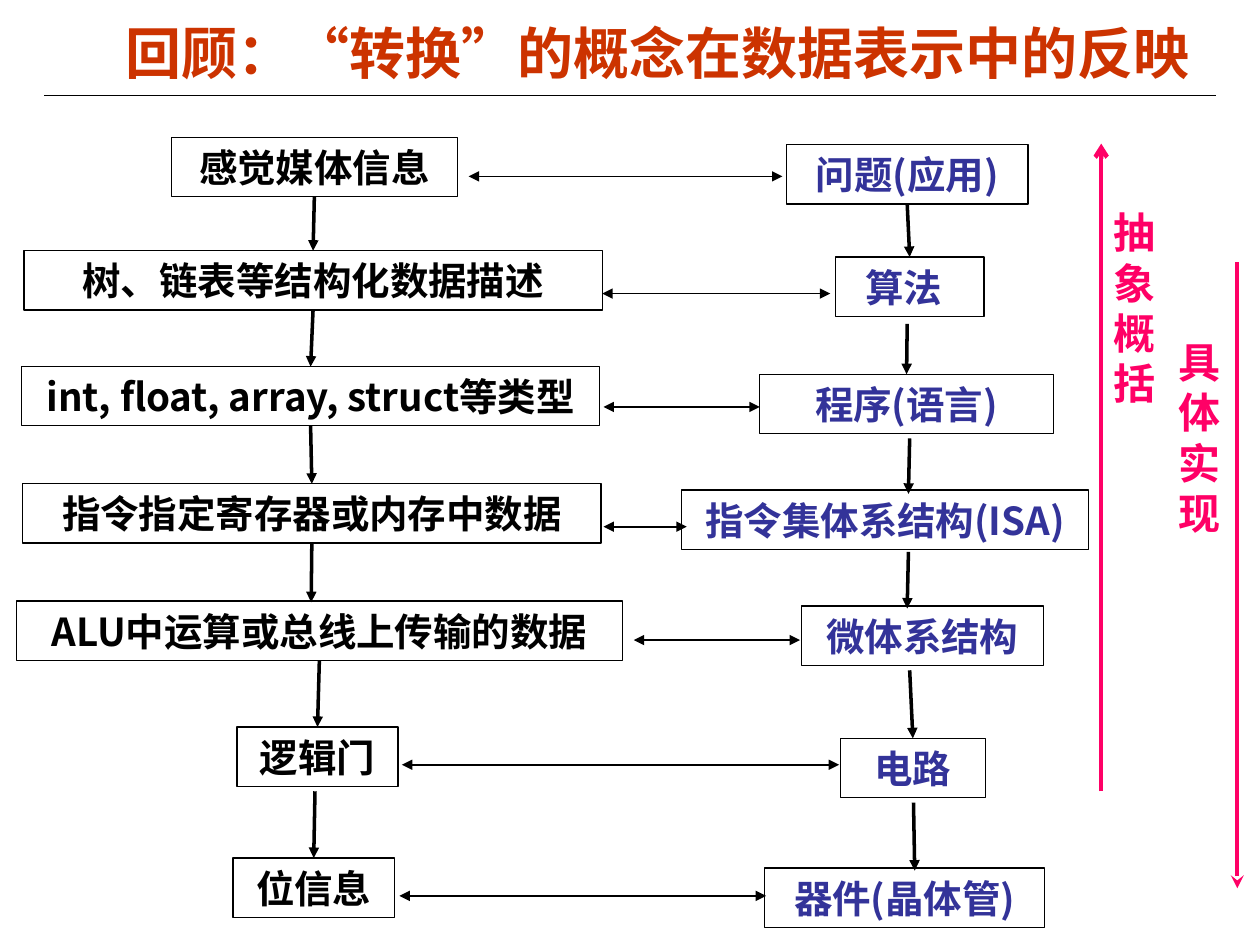
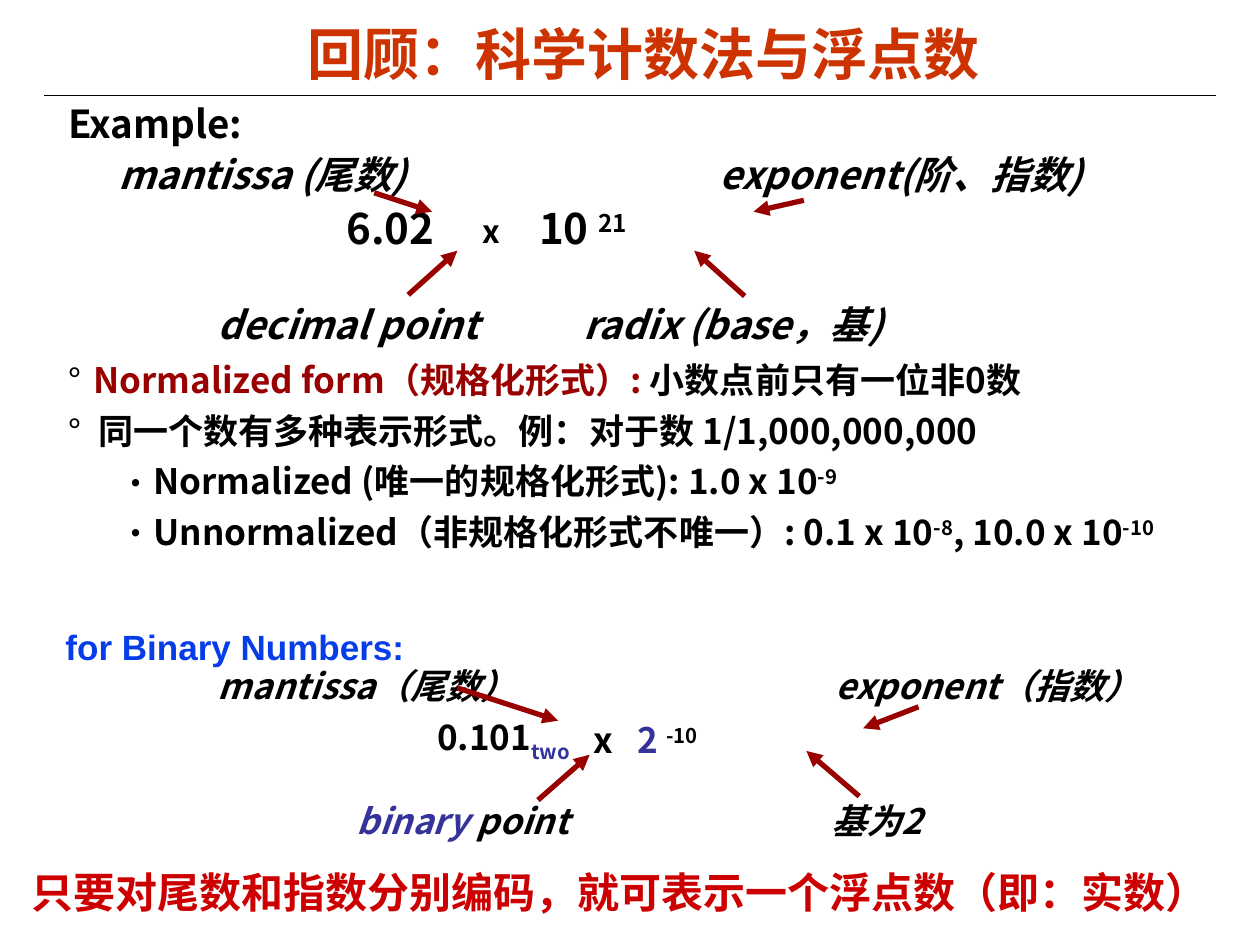
from lxml import etree
from pptx import Presentation
from pptx.dml.color import RGBColor
from pptx.enum import shapes, text
from pptx.oxml import ns
from pptx.util import Pt

PX = 9144
BLACK, INDIGO, PINK, MAROON = "000000", "333399", "FF0066", "990000"
ORANGE, BLUE, RED = "CC3300", "063DE9", "CC0000"
SANS, SERIF, ARIAL = "Noto Sans CJK SC", "Times New Roman", "Arial"
LEFT, CENTER = text.PP_ALIGN.LEFT, text.PP_ALIGN.CENTER


def write(shape, runs, size, color=BLACK, font=SANS, align=LEFT, italic=False):
    frame = shape.text_frame
    frame.word_wrap = True
    frame.vertical_anchor = text.MSO_ANCHOR.MIDDLE
    frame.margin_left = frame.margin_right = frame.margin_top = frame.margin_bottom = 0
    paragraph = frame.add_paragraph() if frame.paragraphs[0].runs else frame.paragraphs[0]
    paragraph.alignment = align
    for words, own in runs:
        run = paragraph.add_run()
        run.text = words
        run.font.size = Pt(own.get("size", size))
        run.font.bold = True
        run.font.italic = italic
        run.font.color.rgb = RGBColor.from_string(own.get("color", color))
        run.font.name = own.get("font", font)
        properties = run.font._element
        etree.SubElement(properties, ns.qn("a:ea"), typeface=SANS)
        if "baseline" in own:
            properties.set("baseline", str(own["baseline"] * 1000))
    return paragraph


def draw_line(slide, ends, color, width, tail=None, head=None):
    line = slide.shapes.add_connector(
        shapes.MSO_CONNECTOR.STRAIGHT, *(v * PX for v in ends))
    line.line.color.rgb = RGBColor.from_string(color)
    line.line.width = Pt(width)
    outline = line.line._get_or_add_ln()
    for tag, kind in (("a:headEnd", head), ("a:tailEnd", tail)):
        if kind:
            etree.SubElement(outline, ns.qn(tag), type=kind)
    etree.SubElement(line._element.spPr, ns.qn("a:effectLst"))
    return line


deck = Presentation()
deck.slide_width, deck.slide_height = 1000 * PX, 750 * PX

titles = [
    (87, 11, 870, [("回顾：", {}), ("“", {"font": SANS}), ("转换", {}),
                   ("”", {"font": SANS}), ("的概念在数据表示中的反映", {})]),
    (79, 12, 864, [("回顾：科学计数法与浮点数", {})]),
]
for left, top, width, runs in titles:
    slide = deck.slides.add_slide(deck.slide_layouts[6])
    draw_line(slide, (35, 76, 965, 76), BLACK, 0.75)
    title = slide.shapes.add_textbox(left * PX, top * PX, width * PX, 60 * PX)
    write(title, runs, 32, ORANGE, ARIAL, CENTER)
conversion, floating = deck.slides

for words, left, top, arrow, head in [
    ("具体实现", 935, 267, (982, 208, 982, 705), "stealth"),
    ("抽象概括", 884, 164, (874, 628, 874, 114), "arrow"),
]:
    draw_line(conversion, arrow, PINK, 2.5, head)
    direction = conversion.shapes.add_textbox(left * PX, top * PX, 32 * PX, 160 * PX)
    write(direction, [(words, {})], 24, PINK, SERIF)

data_levels = [
    ("感觉媒体信息", 136, 109, 227),
    ("树、链表等结构化数据描述", 19, 199, 459),
    ("int, float, array, struct等类型", 17, 291, 459),
    ("指令指定寄存器或内存中数据", 18, 384, 459),
    ("ALU中运算或总线上传输的数据", 13, 477, 481),
    ("逻辑门", 188, 577, 128),
    ("位信息", 185, 681, 128),
]
data_steps = [
    (249, 159, 249, 201), (249, 248, 248, 293), (247, 341, 246, 385),
    (248, 433, 247, 478), (251, 526, 251, 580), (250, 628, 250, 682),
]
system_levels = [
    ("问题(应用)", 624, 115, 192),
    ("算法", 663, 204, 118),
    ("程序(语言)", 603, 297, 233),
    ("指令集体系结构(ISA)", 541, 389, 323),
    ("微体系结构", 636, 481, 192),
    ("电路", 667, 586, 115),
    ("器件(晶体管)", 607, 689, 222),
]
system_steps = [
    (721, 162, 721, 205), (720, 257, 720, 299), (722, 348, 721, 392),
    (721, 438, 720, 483), (722, 532, 723, 586), (725, 637, 726, 691),
]
for levels, steps, color in [
    (data_levels, data_steps, BLACK),
    (system_levels, system_steps, INDIGO),
]:
    boxes = []
    for words, left, top, width in levels:
        box = conversion.shapes.add_shape(
            shapes.MSO_SHAPE.RECTANGLE, left * PX, top * PX, width * PX, 47 * PX)
        box.shadow.inherit = False
        box.fill.background()
        box.line.color.rgb = RGBColor.from_string(BLACK)
        box.line.width = Pt(0.75)
        write(box, [(words, {})], 22, color, align=CENTER)
        if words == "算法":
            box.text_frame.margin_right = 10 * PX
        boxes.append(box)
    for upper, lower, step in zip(boxes, boxes[1:], steps):
        x1, y1, x2, y2 = (v * PX for v in step)
        arrow = draw_line(conversion, step, BLACK, 2, "triangle")
        near = 3 * PX
        if (abs(x1 - upper.left - upper.width // 2) < near
                and abs(y1 - upper.top - upper.height) <= near):
            arrow.begin_connect(upper, 2)
        if (abs(x2 - lower.left - lower.width // 2) < near
                and abs(y2 - lower.top) <= near):
            arrow.end_connect(lower, 0)

for right, left, y in [
    (621, 372, 140), (659, 478, 233), (603, 479, 323), (545, 479, 418),
    (635, 503, 508), (666, 319, 607), (608, 317, 711),
]:
    draw_line(conversion, (right, y, left, y), BLACK, 1, "triangle", "triangle")

roman_labels = [
    (54, 98, 22, [("Example:", {})]),
    (275, 181, 24, [("6.02", {})]),
    (383, 183, 18, [("x", {})]),
    (428, 181, 24, [("10 ", {}), ("21", {"baseline": 30})]),
    (347, 587, 20, [("0.101", {}), ("two", {"color": INDIGO, "baseline": -25})]),
    (471, 587, 20, [("x", {})]),
    (506, 587, 20, [("2 ", {"color": INDIGO}), ("-10", {"baseline": 30})]),
    (52, 513, 20, [("for Binary Numbers:", {"color": BLUE, "font": ARIAL})]),
]
italic_labels = [
    (94, 138, 22, [("mantissa (尾数)", {})]),
    (571, 138, 22, [("exponent(阶、指数)", {})]),
    (173, 257, 22, [("decimal point", {})]),
    (463, 257, 22, [("radix (base，基)", {})]),
    (173, 544, 20, [("mantissa（尾数）", {})]),
    (663, 544, 20, [("exponent（指数）", {})]),
    (283, 651, 20, [("binary ", {"color": INDIGO}), ("point", {})]),
    (660, 651, 20, [("基为2", {})]),
]
for labels, italic in [(roman_labels, False), (italic_labels, True)]:
    for left, middle, size, runs in labels:
        label = floating.shapes.add_textbox(
            left * PX, (middle - 20) * PX, 330 * PX, 40 * PX)
        write(label, runs, size, italic=italic)

forms = floating.shapes.add_textbox(54 * PX, 283 * PX, 930 * PX, 157 * PX)
for mark, margin, indent, runs in [
    ("°", 20, 20, [("Normalized form（规格化形式）: ", {"color": MAROON}),
                   ("小数点前只有一位非0数", {})]),
    ("°", 24, 24, [("同一个数有多种表示形式。例：对于数 1/1,000,000,000", {})]),
    ("•", 65, 25, [("Normalized (唯一的规格化形式): 1.0 x 10", {}),
                   ("-9", {"baseline": 30})]),
    ("•", 65, 25, [("Unnormalized（非规格化形式不唯一）: 0.1 x 10", {}),
                   ("-8", {"baseline": 30}), (", 10.0 x 10", {}),
                   ("-10", {"baseline": 30})]),
]:
    form = write(forms, runs, 20)
    properties = form._p.get_or_add_pPr()
    properties.set("marL", str(margin * PX))
    properties.set("indent", str(-indent * PX))
    mark_color = etree.SubElement(properties, ns.qn("a:buClr"))
    etree.SubElement(mark_color, ns.qn("a:srgbClr"), val=BLACK)
    etree.SubElement(properties, ns.qn("a:buFont"), typeface=SANS)
    etree.SubElement(properties, ns.qn("a:buChar"), char=mark)
    if len(forms.text_frame.paragraphs) > 1:
        form.space_before = Pt(5)

for pointer in [
    (297, 153, 343, 168), (638, 159, 598, 168),
    (324, 234, 363, 199), (591, 235, 551, 199),
    (363, 546, 443, 572), (729, 561, 685, 578),
    (427, 635, 468, 599), (682, 632, 640, 596),
]:
    draw_line(floating, pointer, MAROON, 3, "triangle")

conclusion = floating.shapes.add_textbox(25 * PX, 688 * PX, 965 * PX, 40 * PX)
write(conclusion, [("只要对尾数和指数分别编码，就可表示一个浮点数（即：实数）", {})],
      24, RED, SERIF)

deck.save("out.pptx")
